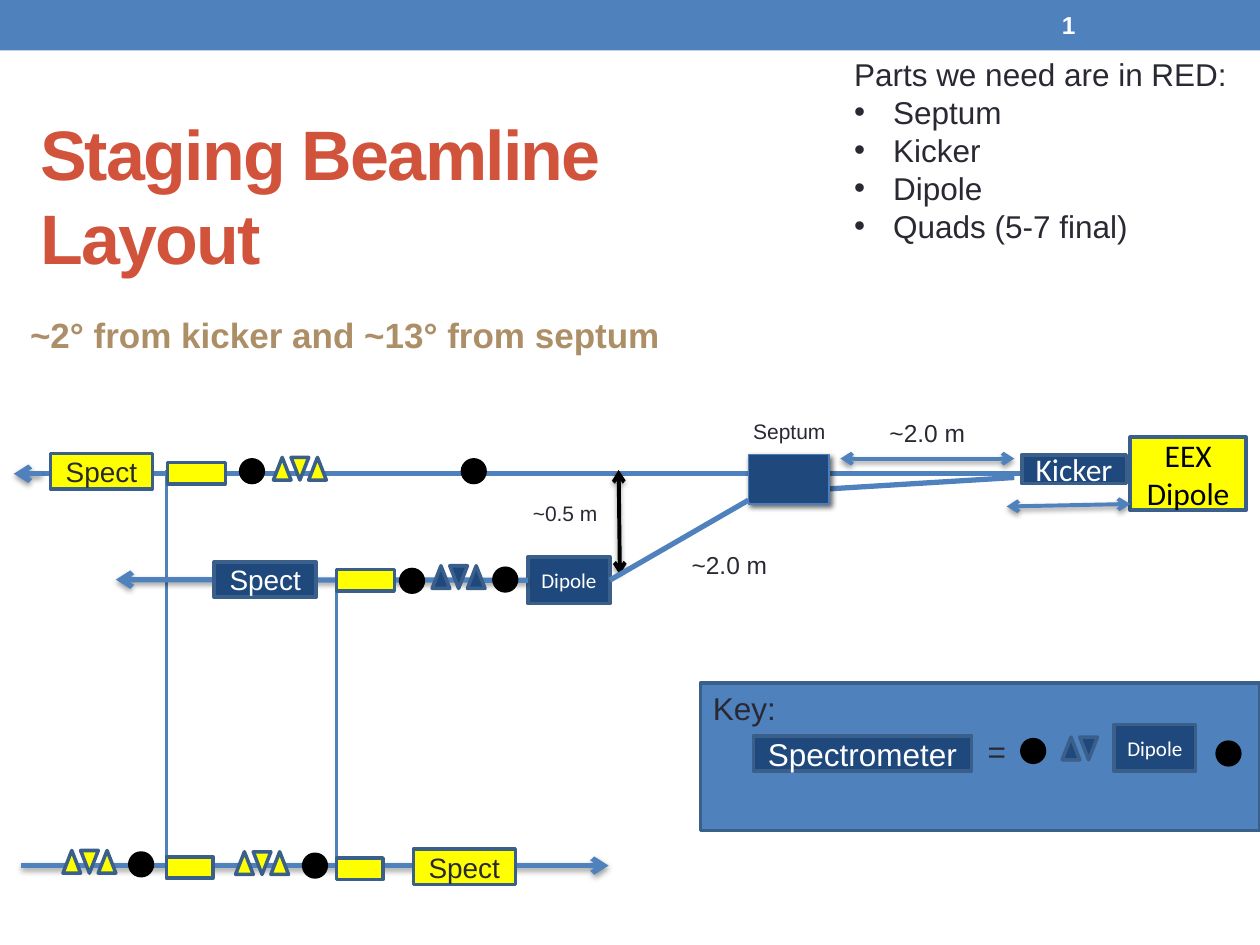
from dataclasses import dataclass

from lxml.etree import SubElement
from pptx import Presentation
from pptx.dml.color import RGBColor
from pptx.enum.shapes import MSO_CONNECTOR, MSO_SHAPE
from pptx.enum.text import MSO_ANCHOR, PP_ALIGN
from pptx.oxml.ns import qn
from pptx.util import Inches, Pt


@dataclass
class Theme:
    blue: str = "4F81BD"
    navy: str = "1F497D"
    edge: str = "3A5F8B"
    trim: str = "4B7EBC"
    gold: str = "FFFF00"
    red: str = "D2533C"
    tan: str = "AD8F67"
    ink: str = "292934"
    black: str = "000000"
    white: str = "FFFFFF"
    sans: str = "Arial"
    alt: str = "Calibri"
    head: int = 40
    sub: int = 20
    body: int = 18
    mid: int = 16
    note: int = 14
    small: int = 12


look = Theme()
deck = Presentation()
deck.slide_width, deck.slide_height = Inches(10), Inches(7.5)
col = deck.slide_width / 1000
row = deck.slide_height / 750
slide = deck.slides.add_slide(deck.slide_layouts[6])
RECT, OVAL, TRI = MSO_SHAPE.RECTANGLE, MSO_SHAPE.OVAL, MSO_SHAPE.ISOSCELES_TRIANGLE
LEFT, MID = PP_ALIGN.LEFT, PP_ALIGN.CENTER


def put(text, x, y, w, h, kind=None, fill=None, edge=look.edge, line=2, turn=0,
        size=look.body, font=look.sans, color=look.ink, bold=False, align=LEFT,
        center=False, foot=0.05, lead=None, track=None, bullet=False):
    area = round(x * col), round(y * row), round(w * col), round(h * row)
    if kind is None:
        item = slide.shapes.add_textbox(*area)
    else:
        item = slide.shapes.add_shape(kind, *area)
        item.shadow.inherit = False
        item.fill.solid()
        item.fill.fore_color.rgb = RGBColor.from_string(fill)
        item.rotation = turn
        if line:
            item.line.color.rgb = RGBColor.from_string(edge)
            item.line.width = Pt(line)
        else:
            item.line.fill.background()
    if not text:
        return item
    frame = item.text_frame
    frame.word_wrap = True
    frame.margin_bottom = Inches(foot)
    frame.vertical_anchor = MSO_ANCHOR.MIDDLE if center else MSO_ANCHOR.TOP
    for spot, words in enumerate(text.split("\n")):
        para = frame.paragraphs[0] if spot == 0 else frame.add_paragraph()
        para.alignment = align
        if lead:
            para.line_spacing = lead
        if bullet and spot:
            props = para._p.get_or_add_pPr()
            props.set("marL", str(Inches(0.31)))
            props.set("indent", str(-Inches(0.31)))
            SubElement(props, qn("a:buFont"), typeface=look.sans)
            SubElement(props, qn("a:buChar"), char="•")
        run = para.add_run()
        run.text = words
        run.font.size, run.font.name, run.font.bold = Pt(size), font, bold
        run.font.color.rgb = RGBColor.from_string(color)
        if track:
            run._r.get_or_add_rPr().set("spc", str(track))
    return item


def wire(x1, y1, x2, y2, width=3, color=look.blue, tips=()):
    item = slide.shapes.add_connector(
        MSO_CONNECTOR.STRAIGHT, round(x1 * col), round(y1 * row),
        round(x2 * col), round(y2 * row))
    item.line.color.rgb = RGBColor.from_string(color)
    item.line.width = Pt(width)
    for tip in tips:
        SubElement(item.line._get_or_add_ln(), qn("a:" + tip), type="arrow")
    glow = SubElement(item._element.spPr, qn("a:effectLst"))
    if tips:
        shade = SubElement(glow, qn("a:outerShdw"), blurRad=str(Pt(3.1)),
                           dist=str(Pt(1.6)), dir="5400000", rotWithShape="0")
        tint = SubElement(shade, qn("a:srgbClr"), val=look.black)
        SubElement(tint, qn("a:alpha"), val="38000")
    return item


end, both = ("tailEnd",), ("headEnd", "tailEnd")
navy = dict(kind=RECT, fill=look.navy, color=look.white, align=MID, center=True)
gold = dict(kind=RECT, fill=look.gold, align=MID, center=True)
chip = dict(navy, font=look.alt, size=look.small)

put("", 0, 0, 1000, 40, kind=RECT, fill=look.blue, line=0)
put("Staging Beamline Layout", 22, 58, 640, 192, size=look.head, color=look.red,
    bold=True, center=True, track=-100)
put("~2° from kicker and ~13° from septum", 14, 248, 536, 55, size=look.sub,
    color=look.tan, bold=True, foot=0, lead=0.9)
put("1", 833, 2, 117, 36, size=look.note, color=look.white, bold=True, center=True)
put("Parts we need are in RED:\nSeptum\nKicker\nDipole\nQuads (5-7 final)",
    668, 39, 325, 190, bullet=True)

wire(870, 376, 33, 376)
wire(805, 379, 658, 388)
wire(33, 376, 11, 376, tips=end)
wire(17, 687, 483, 687, tips=end)
wire(132, 373, 132, 689, width=2)
wire(267, 467, 267, 680, width=2)
wire(667, 364, 805, 364, width=2.25, tips=both)
wire(491, 373, 492, 456, width=2.25, color=look.black, tips=both)

put("Kicker", 811, 361, 83, 23, **dict(navy, font=look.alt))
put("EEX Dipole", 897, 347, 92, 58, **dict(gold, font=look.alt, color=look.black))
wire(799, 402, 897, 400, width=2.25, tips=both)

septum = put("", 594, 361, 64, 39, kind=RECT, fill=look.navy, edge=look.trim, line=0.75)
glow = septum._element.spPr.find(qn("a:effectLst"))
shade = SubElement(glow, qn("a:outerShdw"), blurRad=str(Pt(3)), dist=str(Pt(2)),
                   dir="2700000", rotWithShape="0")
tint = SubElement(shade, qn("a:srgbClr"), val=look.black)
SubElement(tint, qn("a:alpha"), val="60000")

dipole = put("Dipole", 419, 442, 65, 37, **chip)
wire(419, 460, 92, 460, tips=end).begin_connect(dipole, 1)
wire(594, 397, 485, 458).end_connect(dipole, 3)

put("", 556, 542, 444, 117, kind=RECT, fill=look.blue)
put("Key:", 556, 542, 164, 40)
put("Spectrometer", 598, 584, 173, 28, **navy)
put("=", 774, 576, 45, 40)
put("Dipole", 884, 575, 65, 37, **chip)

for x, y, w in ((133, 367, 46), (267, 452, 46), (132, 680, 37), (267, 681, 37)):
    put("", x, y, w, 17, **gold)

for x, y in ((191, 365), (367, 365), (318, 452), (392, 451), (103, 677),
             (241, 678), (811, 587), (966, 589)):
    put("", x, y, 18, 18, kind=OVAL, fill=look.black, edge=look.black)

for x, y, count, fill in ((217, 363, 3, look.gold), (343, 449, 3, look.navy),
                          (50, 675, 3, look.gold), (187, 676, 3, look.gold),
                          (843, 585, 2, look.navy)):
    for spot in range(count):
        put("", x + 14 * spot, y, 14, 18, kind=TRI, fill=fill, turn=180 * (spot % 2))

for x, y, style in ((40, 360, gold), (170, 446, navy), (328, 674, gold)):
    put("Spect", x, y, 81, 28, size=look.mid, **style)

for text, x, y, w, h, size, align in (
        ("Septum", 585, 327, 83, 30, look.small, MID),
        ("~0.5 m", 413, 392, 95, 30, look.small, LEFT),
        ("~2.0 m", 674, 327, 124, 33, look.note, MID),
        ("~2.0 m", 539, 432, 124, 33, look.note, LEFT)):
    put(text, x, y, w, h, size=size, align=align)

deck.save("out.pptx")
